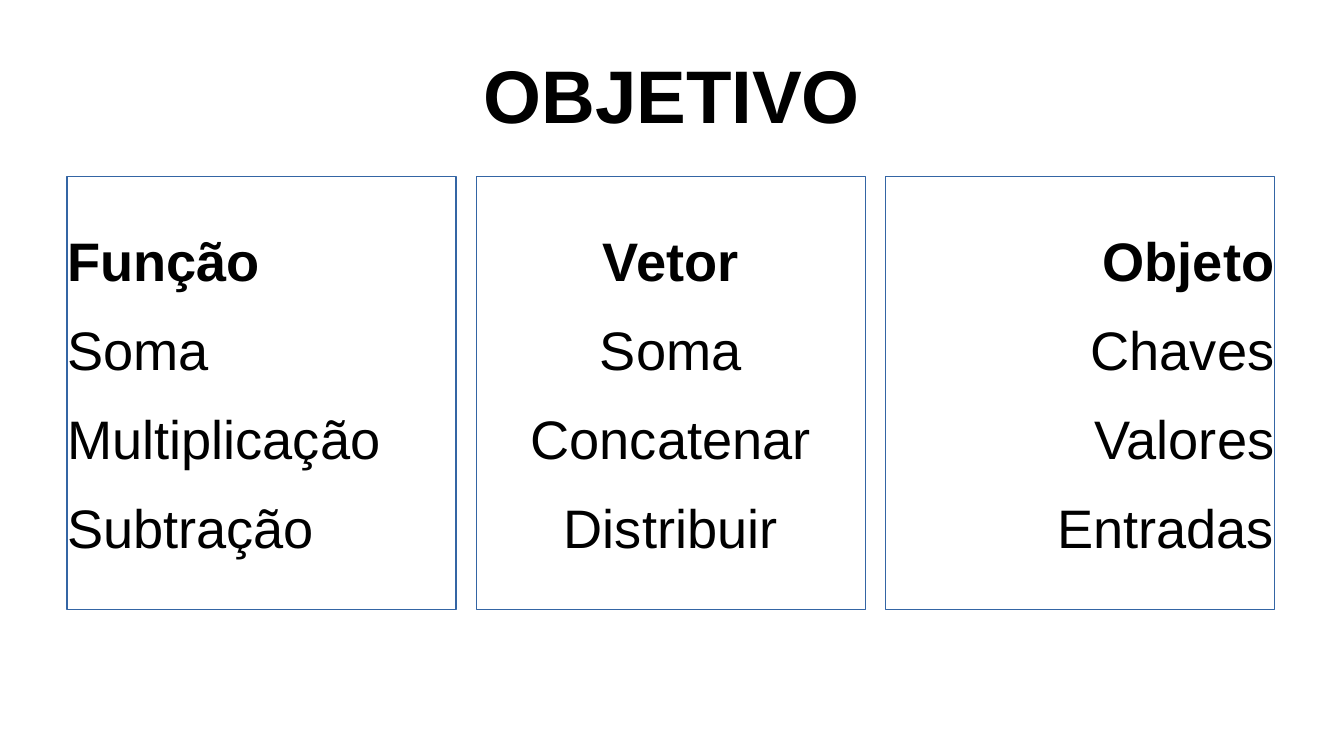
from pptx import Presentation
from pptx.dml.color import RGBColor
from pptx.enum.shapes import MSO_SHAPE as SHAPE
from pptx.enum.text import MSO_ANCHOR as ANCHOR, PP_ALIGN as ALIGN
from pptx.util import Inches, Pt

# Content
TITLE = "OBJETIVO"
COLUMNS = [
    (ALIGN.LEFT, ["Função", "Soma", "Multiplicação", "Subtração"]),
    (ALIGN.CENTER, ["Vetor", "Soma", "Concatenar", "Distribuir"]),
    (ALIGN.RIGHT, ["Objeto", "Chaves", "Valores", "Entradas"]),
]

# Format and layout
BLACK = RGBColor(0x00, 0x00, 0x00)
BLUE = RGBColor(0x34, 0x65, 0xA4)
FRAME = dict(margin_left=0, margin_top=0, margin_right=0, margin_bottom=0,
             word_wrap=True, vertical_anchor=ANCHOR.MIDDLE)
LEFT, TOP, WIDTH, HEIGHT, STEP = 0.55, 1.45, 3.19, 3.55, 3.355


def set_all(obj, values):
    for name, value in values.items():
        setattr(obj, name, value)


def write(sp, lines, size, align, before=0):
    """Fill a shape with lines, the first one bold."""
    tf = sp.text_frame
    set_all(tf, FRAME)
    for i, line in enumerate(lines):
        p = tf.add_paragraph() if i else tf.paragraphs[0]
        set_all(p, dict(alignment=align, space_before=Pt(before)))
        r = p.add_run()
        r.text = line
        set_all(r.font, dict(name="Arial", size=Pt(size), bold=i == 0))
        r.font.color.rgb = BLACK


prs = Presentation()
prs.slide_width, prs.slide_height = Inches(11.02), Inches(6.2)
s = prs.slides.add_slide(prs.slide_layouts[6])

# Title
title = s.shapes.add_textbox(Inches(LEFT), Inches(0.25), Inches(9.92), Inches(1.04))
write(title, [TITLE], 44, ALIGN.CENTER)

# Three columns
for i, (align, lines) in enumerate(COLUMNS):
    sp = s.shapes.add_shape(SHAPE.RECTANGLE, Inches(LEFT + i * STEP), Inches(TOP),
                            Inches(WIDTH), Inches(HEIGHT))
    sp.shadow.inherit = False
    sp.fill.background()
    sp.line.color.rgb = BLUE
    sp.line.width = 0
    write(sp, lines, 32, align, before=14.2)

prs.save("out.pptx")
